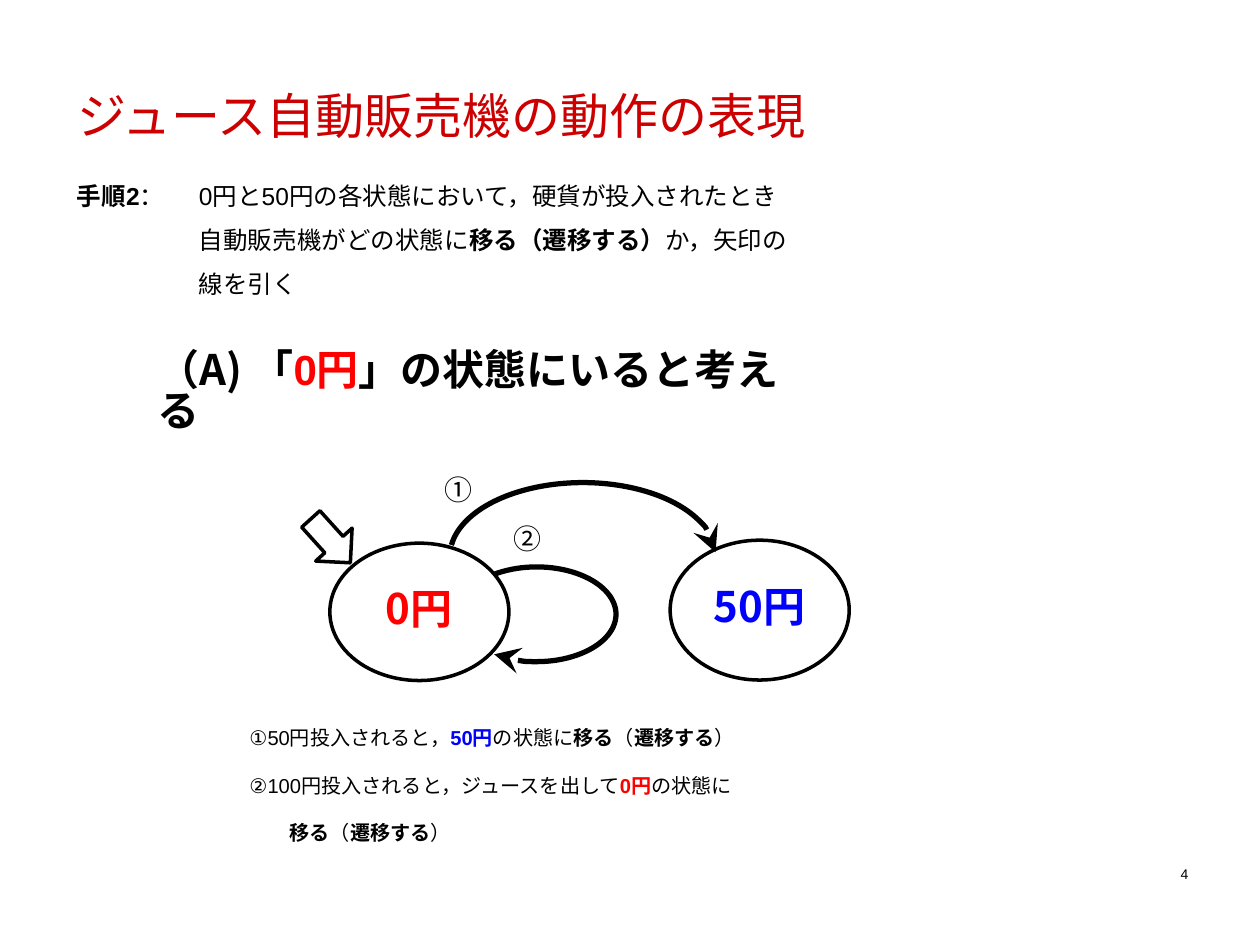
import pptx
import pptx.dml.color
import pptx.enum.shapes
import pptx.enum.text
import pptx.oxml
import pptx.oxml.ns
import pptx.util

Cm = pptx.util.Cm
Pt = pptx.util.Pt
MSO = pptx.enum.shapes.MSO_SHAPE
ANCHOR = pptx.enum.text.MSO_ANCHOR
ALIGN = pptx.enum.text.PP_ALIGN
COLORS = {"text": "000000", "title": "CC0000", "zero": "FF0000", "fifty": "0000FF"}
LATIN = "Arial"
CJK = "Noto Sans CJK JP"


def rgb(name):
    """Return the named palette colour."""
    return pptx.dml.color.RGBColor.from_string(COLORS[name])


def write(p, runs, size, font, bold=None):
    """Fill a paragraph with (text, bold, colour[, font]) runs."""
    p.font.size, p.font.name = Pt(size), font
    p.font.bold = bold
    for text, run_bold, color, *face in runs:
        r = p.add_run()
        r.text = text
        r.font.color.rgb = rgb(color)
        if run_bold:
            r.font.bold = True
        if face:
            r.font.name = face[0]


def add_text(slide, box, paragraphs, size, font, bold=None, wrap=True):
    """Add a text box with one paragraph per list of runs and return its frame."""
    tf = slide.shapes.add_textbox(*map(Cm, box)).text_frame
    tf.word_wrap = wrap
    for i, runs in enumerate(paragraphs):
        p = tf.add_paragraph() if i else tf.paragraphs[0]
        write(p, runs, size, font, bold)
    return tf


def indent(p, left, first=0):
    """Set the left margin and first-line indent of a paragraph."""
    pPr = p._p.get_or_add_pPr()
    pPr.set("marL", str(Cm(left)))
    pPr.set("indent", str(Cm(first)))


def add_outline(slide, kind, box, width):
    """Add an unfilled shape with a black outline."""
    sp = slide.shapes.add_shape(kind, *map(Cm, box))
    sp.shadow.inherit = False
    sp.fill.background()
    sp.line.color.rgb = rgb("text")
    sp.line.width = Pt(width)
    return sp


def add_transition(slide, box, start, end):
    """Add a curved arrow running between two angles in degrees."""
    sp = add_outline(slide, MSO.ARC, box, 3)
    for i, angle in enumerate((start, end)):
        sp.adjustments[i] = angle * 0.6
    ns = pptx.oxml.ns.nsdecls("a")
    sp.line._get_or_add_ln().append(
        pptx.oxml.parse_xml(f'<a:tailEnd {ns} type="stealth" w="lg" len="lg"/>'))


def add_state(slide, box, label, color):
    """Add an ellipse naming a state."""
    tf = add_outline(slide, MSO.OVAL, box, 2).text_frame
    tf.word_wrap = True
    tf.vertical_anchor = ANCHOR.MIDDLE
    p = tf.paragraphs[0]
    p.alignment = ALIGN.CENTER
    p.line_spacing = 0.82
    write(p, [(label, True, color)], 24, CJK, True)


def add_title(slide, box):
    """Place the slide title."""
    sp = slide.shapes.title
    sp.left, sp.top, sp.width, sp.height = map(Cm, box)
    tf = sp.text_frame
    tf.vertical_anchor = ANCHOR.MIDDLE
    p = tf.paragraphs[0]
    p.alignment = ALIGN.LEFT
    write(p, [("ジュース自動販売機の動作の表現", False, "title")], 28, LATIN)


def add_step(slide, box):
    """Describe the step with a hanging indent."""
    tf = add_text(slide, box, [
        [("手順2", True, "text"),
         ("：\t0円と50円の各状態において，硬貨が投入されたとき", False, "text")],
        [("自動販売機がどの状態に", False, "text"),
         ("移る（遷移する）", True, "text"), ("か，矢印の", False, "text")],
        [("線を引く", False, "text")],
    ], 14, LATIN)
    for i, p in enumerate(tf.paragraphs):
        indent(p, 2.46, 0 if i else -2.46)
        p.space_after = Pt(8.3)


def add_heading(slide, box):
    """Add the heading of the case under study."""
    tf = add_text(slide, box, [[
        ("（A) ", True, "text"), ("「", True, "text", LATIN),
        ("0円", True, "zero", LATIN),
        ("」の状態にいると考える", True, "text", LATIN),
    ]], 24, CJK, True)
    tf.paragraphs[0].line_spacing = 0.82


def add_diagram(slide, left, top):
    """Draw the states, the start arrow and the numbered transitions."""
    def at(x, y, w, h):
        """Shift a box to the diagram's corner."""
        return left + x, top + y, w, h

    add_transition(slide, at(3, 0.41, 5.36, 2.97), 184.88, 358.29)
    add_transition(slide, at(3.15, 2.11, 3.2, 1.91), 223.48, 136.7)
    add_state(slide, at(0.58, 1.63, 3.61, 2.77), "0円", "zero")
    add_state(slide, at(7.44, 1.57, 3.61, 2.82), "50円", "fifty")
    add_outline(slide, MSO.RIGHT_ARROW, at(0, 1.09, 1.19, 0.99), 2).rotation = 47.9
    for label, x, y in (("①", 2.64, 0), ("②", 4.04, 0.99)):
        tf = add_text(slide, at(x, y, 1.22, 1.09),
                      [[(label, False, "text")]], 16, CJK, wrap=False)
        tf.vertical_anchor = ANCHOR.MIDDLE


def add_notes(slide, box):
    """Explain the numbered transitions."""
    move = [("移る", True, "text"), ("（", False, "text"),
            ("遷移する", True, "text"), ("）", False, "text")]
    tf = add_text(slide, box, [
        [("①50円投入されると，", False, "text"), ("50円", True, "fifty"),
         ("の状態に", False, "text"), *move],
        [("②100円投入されると，ジュースを出して", False, "text"),
         ("0円", True, "zero"), ("の状態に", False, "text")],
        move,
    ], 11.5, LATIN)
    for p, left in zip(tf.paragraphs, (1.27, 1.27, 2.08)):
        p.level = 1
        indent(p, left)
        p.space_after = Pt(13.3)


def add_page_number(slide, box):
    """Add the page number at the lower right."""
    tf = add_text(slide, box, [[("4", False, "text")]], 8, LATIN)
    tf.paragraphs[0].alignment = ALIGN.RIGHT


def main():
    """Build and save the slide."""
    prs = pptx.Presentation()
    prs.slide_width, prs.slide_height = Cm(25.4), Cm(19.05)
    s = prs.slides.add_slide(prs.slide_layouts[5])
    add_page_number(s, (18.29, 17.32, 5.92, 1.32))
    add_step(s, (1.3, 3.53, 23.6, 3.33))
    add_diagram(s, 6.07, 9.32)
    add_notes(s, (3.51, 14.5, 19.35, 3.25))
    add_heading(s, (2.92, 6.98, 13.64, 2.3))
    add_title(s, (1.3, 1.32, 22.86, 2.01))
    prs.save("out.pptx")


if __name__ == "__main__":
    main()
